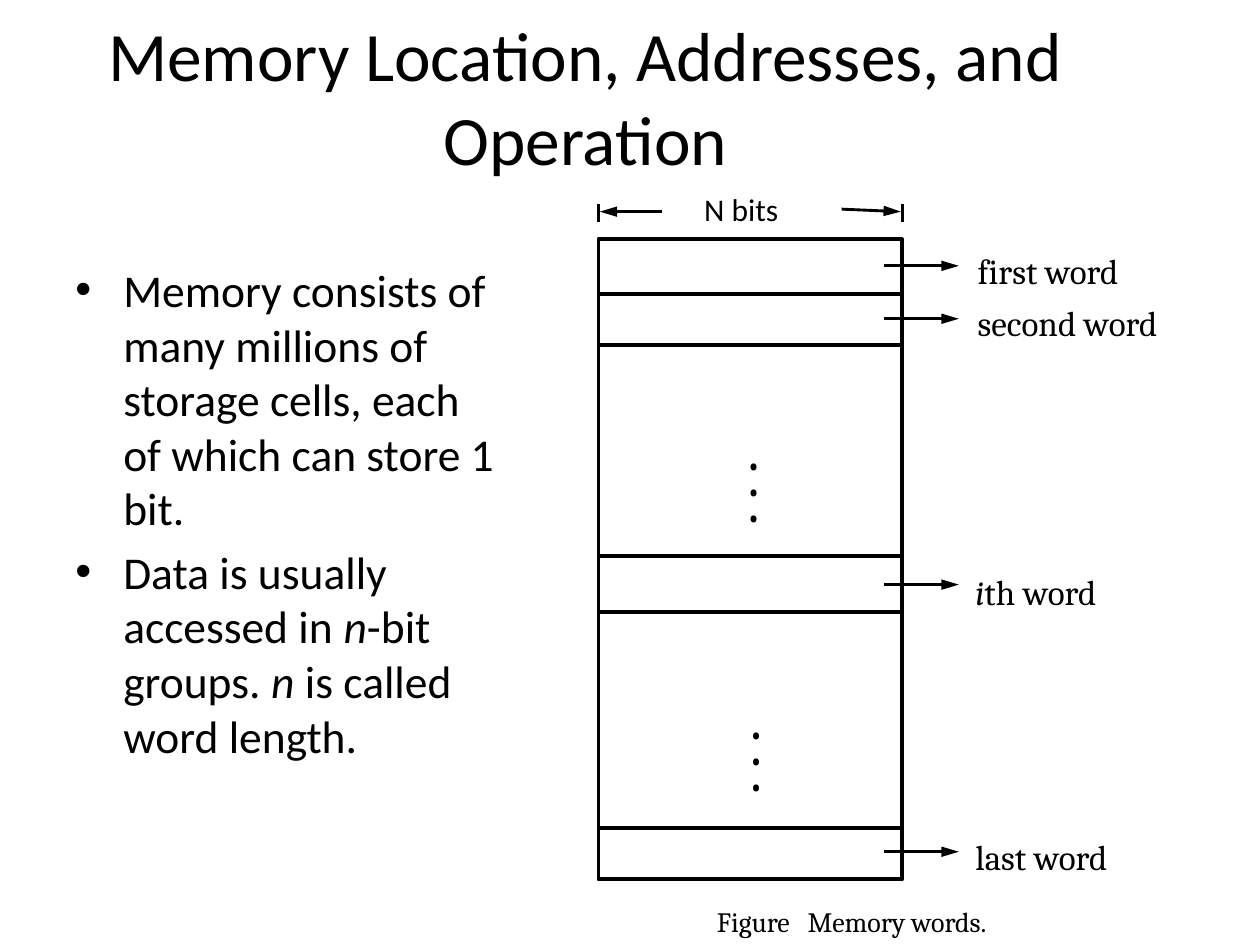
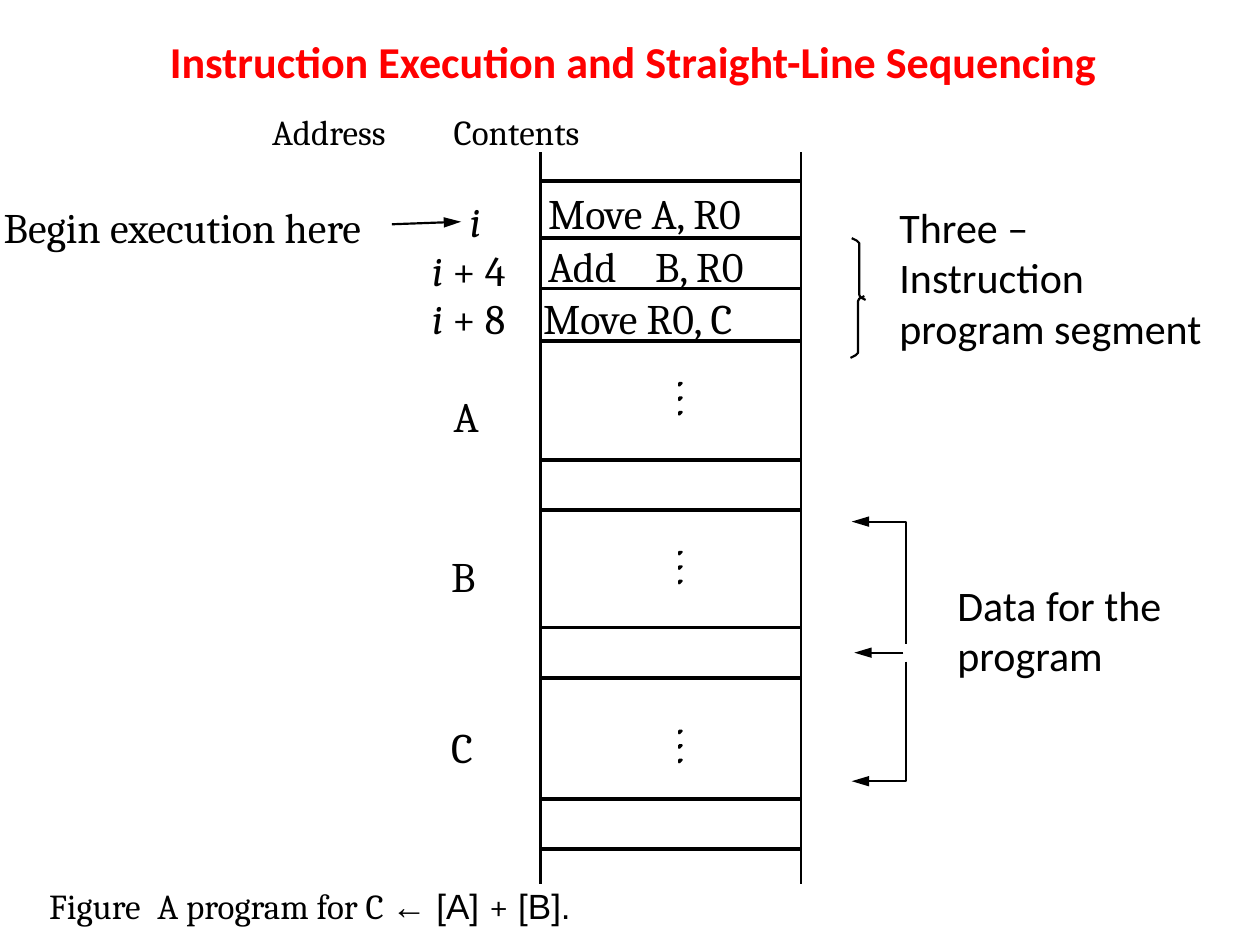
from dataclasses import dataclass
from typing import NamedTuple

from lxml.etree import SubElement
from pptx import Presentation
from pptx.dml.color import RGBColor
from pptx.enum.shapes import MSO_CONNECTOR as Connector, MSO_SHAPE as Preset
from pptx.enum.text import MSO_ANCHOR as Anchor, PP_ALIGN as Align
from pptx.oxml.ns import qn
from pptx.util import Inches, Pt

# Shared style
COLORS = {"ink": "000000", "paper": "FFFFFF", "alert": "FF0000"}
SANS, SERIF, SYMBOL = "Calibri", "Cambria", "Arial"
HEAVY, MEDIUM, THIN = 2.25, 1.63, 1.25
STANDARD_INSET = (0.1, 0.05, 0.1, 0.05)
NO_INSET = (0, 0, 0, 0)


class Span(NamedTuple):
    text: str
    italic: bool = False
    font: str = ""


class Point(NamedTuple):
    x: float
    y: float


@dataclass
class Label:
    """A text box; each paragraph is a list of spans."""
    left: float
    top: float
    width: float
    height: float
    paragraphs: list[list[Span]]
    size: float = 24
    font: str = SERIF
    color: str = "ink"
    bold: bool = False
    wrap: bool = False
    inset: tuple = NO_INSET
    anchor: Anchor = Anchor.TOP
    align: Align = Align.LEFT
    tab: float = 0
    bullet: str = ""
    line_pitch: float = 0
    space_before: float = 0


def color(name: str) -> RGBColor:
    return RGBColor.from_string(COLORS[name])


def plain(left: float, top: float, width: float, text: str, **style) -> Label:
    """A one-paragraph label in a single style."""
    height = style.pop("height", 0.4)
    return Label(left, top, width, height, [[Span(text)]], **style)


def title(left: float, top: float, width: float, height: float, text: str, **style) -> Label:
    return plain(left, top, width, text, height=height, font=SANS, wrap=True,
                 inset=STANDARD_INSET, anchor=Anchor.MIDDLE, align=Align.CENTER, **style)


# Drawing functions
def add_label(page, label: Label) -> None:
    box = page.shapes.add_textbox(Inches(label.left), Inches(label.top),
                                  Inches(label.width), Inches(label.height))
    frame = box.text_frame
    frame.word_wrap, frame.vertical_anchor = label.wrap, label.anchor
    for side, inset in zip(("left", "top", "right", "bottom"), label.inset):
        setattr(frame, f"margin_{side}", Inches(inset))
    for index, spans in enumerate(label.paragraphs):
        para = frame.add_paragraph() if index else frame.paragraphs[0]
        para.alignment = label.align
        if index and label.space_before:
            para.space_before = Pt(label.space_before)
        if label.line_pitch:
            para.line_spacing = Pt(label.line_pitch)
        properties = para._p.get_or_add_pPr()
        if label.bullet:
            properties.set("marL", str(Inches(0.38)))
            properties.set("indent", str(Inches(-0.38)))
            SubElement(properties, qn("a:buFont"), typeface=SYMBOL)
            SubElement(properties, qn("a:buChar"), char=label.bullet)
        if label.tab:
            stops = SubElement(properties, qn("a:tabLst"))
            SubElement(stops, qn("a:tab"), pos=str(Inches(label.tab)), algn="l")
        for piece in spans:
            span = para.add_run()
            span.text = piece.text
            formats = {"name": piece.font or label.font, "size": Pt(label.size),
                       "bold": label.bold, "italic": piece.italic}
            for name, value in formats.items():
                setattr(span.font, name, value)
            span.font.color.rgb = color(label.color)


def style_line(shape, weight: float, arrow: bool) -> None:
    shape.line.color.rgb = color("ink")
    shape.line.width = Pt(weight)
    if arrow:
        SubElement(shape.element.spPr.find(qn("a:ln")), qn("a:tailEnd"),
                   type="triangle", w="med", len="lg")


def add_line(page, start: Point, end: Point, weight: float, arrow: bool = False) -> None:
    line = page.shapes.add_connector(Connector.STRAIGHT, Inches(start.x), Inches(start.y),
                                     Inches(end.x), Inches(end.y))
    style_line(line, weight, arrow)
    SubElement(line.element.spPr, qn("a:effectLst"))


def add_outline(page, points: list[Point], closed: bool = False, arrow: bool = False) -> None:
    corners = [(Inches(point.x), Inches(point.y)) for point in points]
    builder = page.shapes.build_freeform(*corners[0])
    builder.add_line_segments(corners[1:], close=closed)
    outline = builder.convert_to_shape()
    outline.shadow.inherit = False
    outline.fill.background()
    style_line(outline, THIN, arrow)


def add_rows(page, left: float, right: float, heights: list[float]) -> None:
    for y in heights:
        add_line(page, Point(left, y), Point(right, y), HEAVY)


# Slide 1: memory words
def build_memory_words(page) -> None:
    left, right, top, bottom = 4.75, 7.16, 1.9, 6.98
    add_label(page, title(0.52, 0.05, 8.25, 1.42,
                          "Memory Location, Addresses, and Operation", size=39.6))
    add_label(page, Label(
        0.5, 2.03, 3.58, 4.82,
        [[Span("Memory consists of many millions of storage cells, "
               "each of which can store 1 bit.")],
         [Span("Data is usually accessed in "), Span("n", True), Span("-bit groups. "),
          Span("n", True), Span(" is called word length.")]],
        size=26, font=SANS, wrap=True, inset=(0.1, 0.05, 0.05, 0.05),
        bullet="•", space_before=5.2))

    # Memory block and its rows
    memory = page.shapes.add_shape(Preset.RECTANGLE, Inches(left), Inches(top),
                                   Inches(right - left), Inches(bottom - top))
    memory.shadow.inherit = False
    memory.fill.solid()
    memory.fill.fore_color.rgb = color("paper")
    style_line(memory, HEAVY, False)
    add_rows(page, left, right, [2.33, 2.74, 4.41, 4.86, 6.57])

    # Word width
    for x in (left, right):
        add_line(page, Point(x, 1.76), Point(x, 1.62), MEDIUM)
    add_line(page, Point(5.25, 1.68), Point(left + 0.01, 1.68), MEDIUM, arrow=True)
    add_line(page, Point(6.68, 1.66), Point(right - 0.01, 1.68), MEDIUM, arrow=True)
    add_label(page, plain(5.49, 1.46, 0.85, "N bits", size=18, font=SANS,
                          inset=STANDARD_INSET))

    # Word names and their arrows
    for y in (2.11, 2.53, 4.64, 6.76):
        add_line(page, Point(7.02, y), Point(7.61, y), MEDIUM, arrow=True)
    words = [(7.76, 1.98, [Span("first word")]),
             (7.76, 2.39, [Span("second word")]),
             (7.74, 4.53, [Span("i", True), Span("th word")]),
             (7.74, 6.63, [Span("last word")])]
    for x, y, spans in words:
        add_label(page, Label(x, y, 1.59, 0.34, [spans], size=20))

    # Omitted rows
    for x, y in ((5.92, 3.64), (5.94, 5.77)):
        add_label(page, Label(x, y, 0.15, 0.62, [[Span("•")]] * 3, size=20, line_pitch=14.9))
    add_label(page, plain(5.69, 7.18, 2.36, "Figure\tMemory words.", height=0.27,
                          size=16, tab=0.72))


# Slide 2: program in memory
def build_sequencing(page) -> None:
    left, right = 4.29, 6.36
    labels = [
        title(0.25, 0.21, 9.55, 0.55, "Instruction Execution and Straight-Line Sequencing",
              size=25.2, color="alert", bold=True),
        plain(0.03, 1.6, 3.26, "Begin execution here"),
        plain(2.16, 0.88, 2.85, "Address\tContents", height=0.34, size=20, tab=1.44),
        plain(4.35, 1.49, 1.74, "Move A, R0"),
        plain(4.35, 1.91, 1.81, "Add\tB, R0", tab=0.85),
        plain(4.31, 2.32, 1.78, "Move R0, C"),
        Label(3.73, 1.55, 0.2, 0.5, [[Span("i", True)]]),
        Label(3.43, 1.94, 0.63, 0.5, [[Span("i", True), Span(" + 4")]]),
        Label(3.43, 2.32, 0.63, 0.5, [[Span("i", True), Span(" + 8")]]),
        plain(3.6, 3.1, 0.22, "A"),
        plain(3.58, 4.37, 0.22, "B"),
        plain(3.58, 5.73, 0.24, "C"),
        plain(7.04, 1.55, 2.6, "Three – Instruction program segment", height=1.31,
              font=SANS, wrap=True, inset=STANDARD_INSET),
        plain(7.5, 4.55, 2.22, "Data for the program", height=0.91,
              font=SANS, wrap=True, inset=STANDARD_INSET),
        Label(0.39, 7.02, 4.47, 0.34,
              [[Span("Figure\tA program for C "), Span("← [Α] ", font=SYMBOL),
                Span("+"), Span(" [Β].", font=SYMBOL)]], size=20, tab=0.86),
    ]
    for label in labels:
        add_label(page, label)

    # Memory column
    add_rows(page, left, right, [1.44, 1.89, 2.29, 2.71, 3.65, 4.05, 4.98, 5.38, 6.34, 6.74])
    for x in (left, right):
        add_line(page, Point(x, 1.21), Point(x, 7.02), THIN)
    add_line(page, Point(3.11, 1.78), Point(3.66, 1.76), THIN, arrow=True)

    # Omitted rows: three small dots in each gap
    for gap_top in (3.04, 4.38, 5.8):
        for step in range(3):
            x, y = 5.39, gap_top + 0.115 * step
            add_outline(page, [Point(x, y), Point(x, y + 0.02), Point(x + 0.02, y)],
                        closed=True)

    # Brace around the program segment: the lower half mirrors the upper
    upper = [Point(6.76, 1.89), Point(6.8, 1.91), Point(6.82, 1.93),
             Point(6.82, 2.34), Point(6.83, 2.36), Point(6.87, 2.38)]
    add_outline(page, upper)
    add_outline(page, [Point(x - 0.01, 4.73 - y) for x, y in upper])

    # Arrows to the data words
    stem, tip = 7.19, 6.76
    for start, turn in ((5.11, 4.14), (5.25, 6.2)):
        add_outline(page, [Point(stem, start), Point(stem, turn), Point(tip, turn)], arrow=True)
    add_line(page, Point(7.17, 5.18), Point(6.78, 5.18), THIN, arrow=True)


def main() -> None:
    deck = Presentation()
    deck.slide_width, deck.slide_height = Inches(10), Inches(7.5)
    for build in (build_memory_words, build_sequencing):
        build(deck.slides.add_slide(deck.slide_layouts[6]))
    deck.save("out.pptx")


if __name__ == "__main__":
    main()
